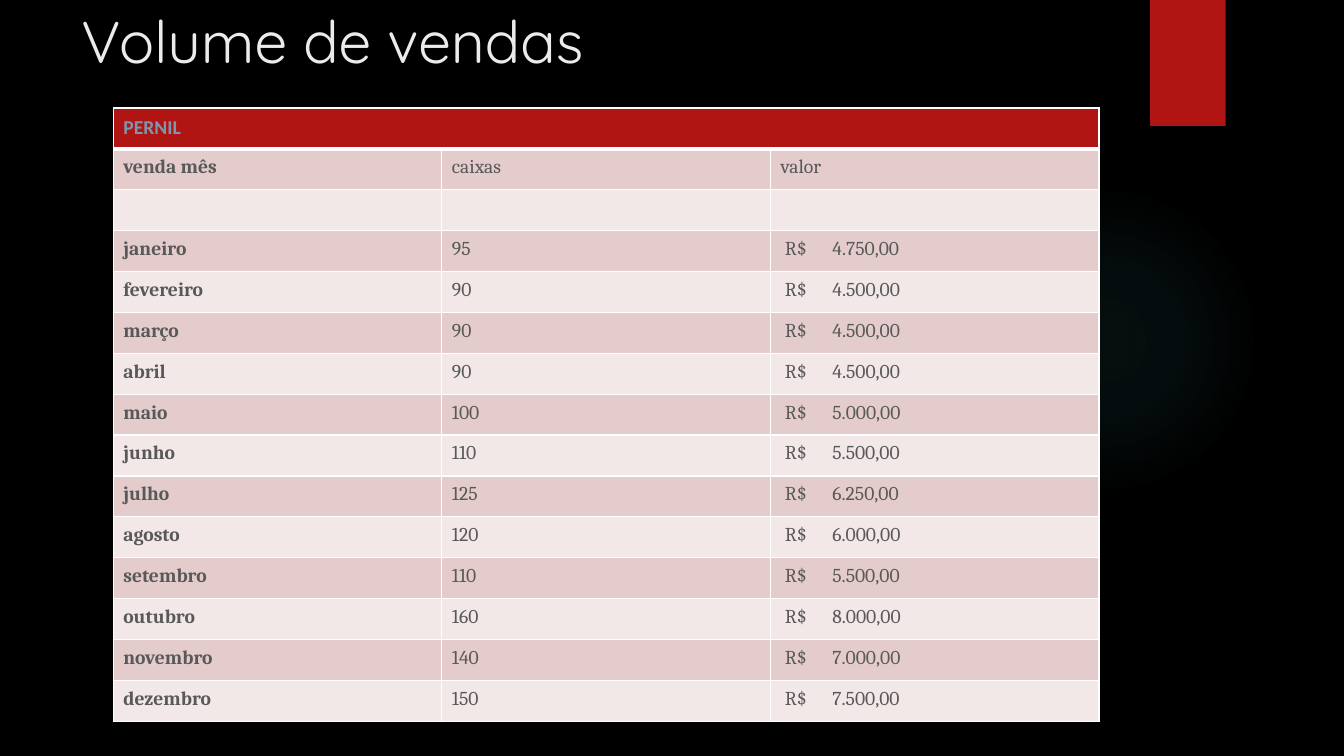
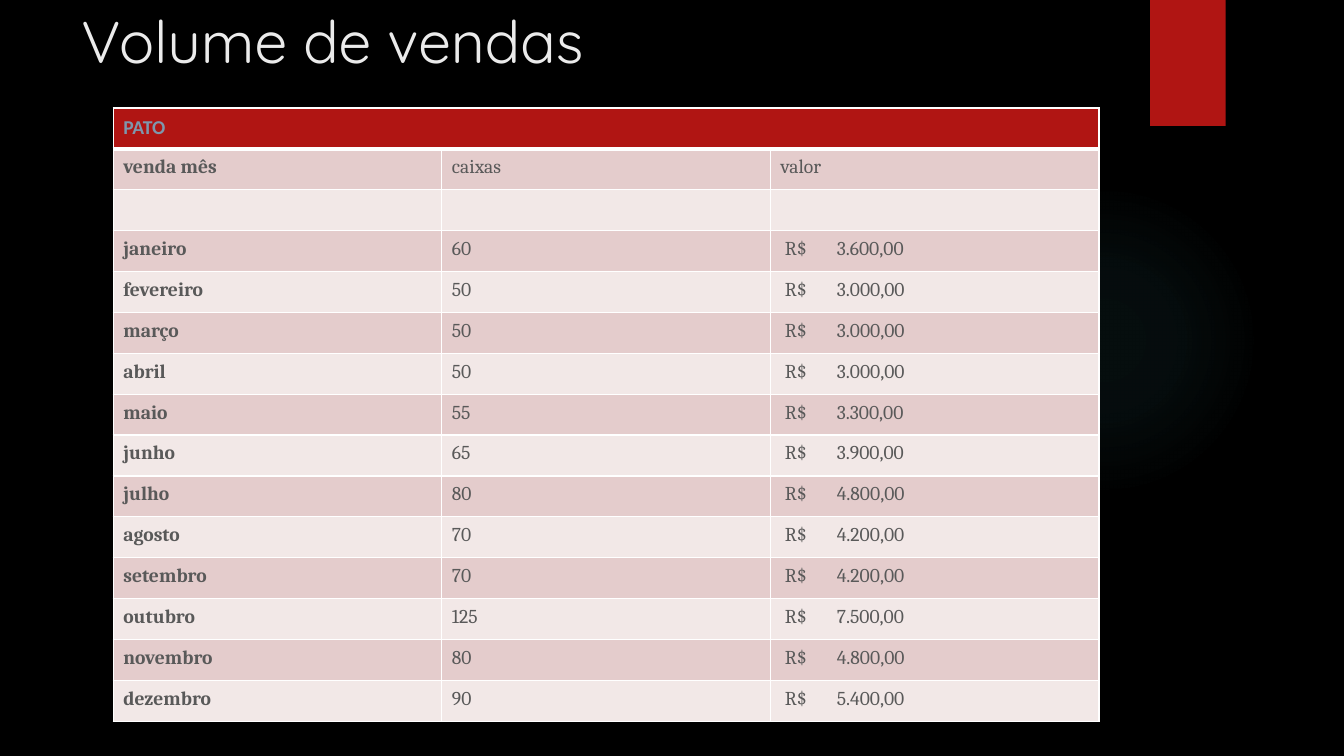
from dataclasses import dataclass

from lxml.etree import SubElement
from pptx import Presentation
from pptx.dml.color import RGBColor
from pptx.enum.shapes import MSO_SHAPE
from pptx.oxml import parse_xml
from pptx.oxml.ns import nsdecls, qn
from pptx.presentation import Presentation as Deck
from pptx.slide import Slide
from pptx.table import _Cell as Cell
from pptx.util import Pt

# Colours
BLACK = RGBColor(0x00, 0x00, 0x00)
WHITE = RGBColor(0xFF, 0xFF, 0xFF)
RED = RGBColor(0xB0, 0x15, 0x13)
GLOW = RGBColor(0x50, 0xB9, 0xC1)
TITLE_GREY = RGBColor(0xEB, 0xEB, 0xEB)
HEADER_BLUE = RGBColor(0x7E, 0x97, 0xAD)
TEXT_GREY = RGBColor(0x59, 0x59, 0x59)
DARK_BAND = RGBColor(0xE4, 0xCC, 0xCC)
LIGHT_BAND = RGBColor(0xF2, 0xE8, 0xE7)

# Table measures, in points
COLUMN_WIDTH = 234.72
ROW_HEIGHT = 29.2
CELL_INDENT = 7.2
VALUE_INDENT = 10.3

MONTHS = ("janeiro", "fevereiro", "março", "abril", "maio", "junho", "julho",
          "agosto", "setembro", "outubro", "novembro", "dezembro")


@dataclass(frozen=True)
class Product:
    name: str
    box_price: int
    boxes: tuple[int, ...]
    amount_tab: float  # distance from "R$" to the amount, in points


@dataclass(frozen=True)
class TextStyle:
    font: str
    size: float
    color: RGBColor
    bold: bool = False


TITLE_STYLE = TextStyle("Quicksand", 42, TITLE_GREY)
HEADER_STYLE = TextStyle("Calibri", 14, HEADER_BLUE, True)
LABEL_STYLE = TextStyle("Cambria", 14, TEXT_GREY, True)
BODY_STYLE = TextStyle("Cambria", 14, TEXT_GREY)

PRODUCTS = (
    Product("PERNIL", 50, (95, 90, 90, 90, 100, 110, 125, 120, 110, 160, 140, 150), 34),
    Product("PATO", 60, (60, 50, 50, 50, 55, 65, 80, 70, 70, 125, 80, 90), 37.1),
)


def format_runs(paragraph, style: TextStyle) -> None:
    for run in paragraph.runs:
        run.font.name = style.font
        run.font.size = Pt(style.size)
        run.font.bold = style.bold
        run.font.color.rgb = style.color


def format_amount(amount: int) -> str:
    return f"{amount:,}".replace(",", ".") + ",00"


def add_decoration(slide: Slide) -> None:
    # Soft round glow
    glow = slide.shapes.add_shape(MSO_SHAPE.OVAL, Pt(677.5), Pt(131.8), Pt(221.8), Pt(221.8))
    glow.shadow.inherit = False
    glow.line.fill.background()
    stops = "".join(
        f'<a:gs pos="{position * 1000}"><a:srgbClr val="{GLOW}">'
        f'<a:alpha val="{alpha * 1000}"/></a:srgbClr></a:gs>'
        for position, alpha in ((0, 7), (36, 6), (69, 0)))
    gradient = parse_xml(
        f'<a:gradFill {nsdecls("a")}><a:gsLst>{stops}</a:gsLst><a:path path="circle">'
        '<a:fillToRect l="50000" t="50000" r="50000" b="50000"/></a:path></a:gradFill>')
    glow._element.spPr.find(qn("a:prstGeom")).addnext(gradient)

    # Red tab at the top
    red_tab = slide.shapes.add_shape(MSO_SHAPE.RECTANGLE, Pt(821.5), Pt(0), Pt(54), Pt(90))
    red_tab.shadow.inherit = False
    red_tab.fill.solid()
    red_tab.fill.fore_color.rgb = RED
    red_tab.line.fill.background()


def add_title(slide: Slide, text: str) -> None:
    title = slide.shapes.add_textbox(Pt(51.1), Pt(0), Pt(740.9), Pt(110.2))
    title.text_frame.word_wrap = True
    title.text_frame.text = text
    format_runs(title.text_frame.paragraphs[0], TITLE_STYLE)


def set_borders(cell: Cell, top: float, bottom: float) -> None:
    properties = cell._tc.get_or_add_tcPr()
    for side, width in (("L", 1), ("R", 1), ("T", top), ("B", bottom)):
        line = SubElement(properties, qn(f"a:ln{side}"), w=str(Pt(width)))
        fill = SubElement(line, qn("a:solidFill"))
        SubElement(fill, qn("a:srgbClr"), val=str(WHITE))


def fill_cell(cell: Cell, text: str, style: TextStyle, indent: float) -> None:
    cell.margin_left = Pt(indent)
    cell.margin_top = Pt(2)
    cell.margin_right = cell.margin_bottom = Pt(0)
    if text:
        cell.text_frame.text = text
        paragraph = cell.text_frame.paragraphs[0]
        paragraph.line_spacing = 1.2
        format_runs(paragraph, style)


def add_amount_tab(cell: Cell, position: float) -> None:
    properties = cell.text_frame.paragraphs[0]._p.get_or_add_pPr()
    tab_list = SubElement(properties, qn("a:tabLst"))
    SubElement(tab_list, qn("a:tab"), pos=str(Pt(position)), algn="l")


def add_sales_table(slide: Slide, product: Product) -> None:
    rows = [(product.name, "", ""), ("venda mês", "caixas", "valor"), ("", "", "")]
    rows += [(month, str(boxes), f"R$\t{format_amount(boxes * product.box_price)}")
             for month, boxes in zip(MONTHS, product.boxes)]
    table = slide.shapes.add_table(
        len(rows), 3, Pt(80.9), Pt(77.2),
        Pt(3 * COLUMN_WIDTH), Pt(len(rows) * ROW_HEIGHT)).table
    table.first_row = table.horz_banding = False
    for column in table.columns:
        column.width = Pt(COLUMN_WIDTH)

    for row_index, texts in enumerate(rows):
        table.rows[row_index].height = Pt(ROW_HEIGHT)
        is_header = row_index == 0
        band = RED if is_header else DARK_BAND if row_index % 2 else LIGHT_BAND
        for column_index, text in enumerate(texts):
            cell = table.cell(row_index, column_index)
            set_borders(cell, top=3 if row_index == 1 else 1, bottom=3 if is_header else 1)
            cell.fill.solid()
            cell.fill.fore_color.rgb = band
            style = HEADER_STYLE if is_header else BODY_STYLE if column_index else LABEL_STYLE
            is_amount = "\t" in text
            fill_cell(cell, text, style, VALUE_INDENT if is_amount else CELL_INDENT)
            if is_amount:
                add_amount_tab(cell, product.amount_tab)
    table.cell(0, 0).merge(table.cell(0, 2))


def add_product_slide(presentation: Deck, product: Product) -> None:
    slide = presentation.slides.add_slide(presentation.slide_layouts[6])
    add_decoration(slide)
    add_title(slide, "Volume de vendas")
    add_sales_table(slide, product)


def main() -> None:
    presentation = Presentation()
    presentation.slide_width, presentation.slide_height = Pt(960), Pt(540)
    background = presentation.slide_master.background.fill
    background.solid()
    background.fore_color.rgb = BLACK
    for product in PRODUCTS:
        add_product_slide(presentation, product)
    presentation.save("out.pptx")


if __name__ == "__main__":
    main()
